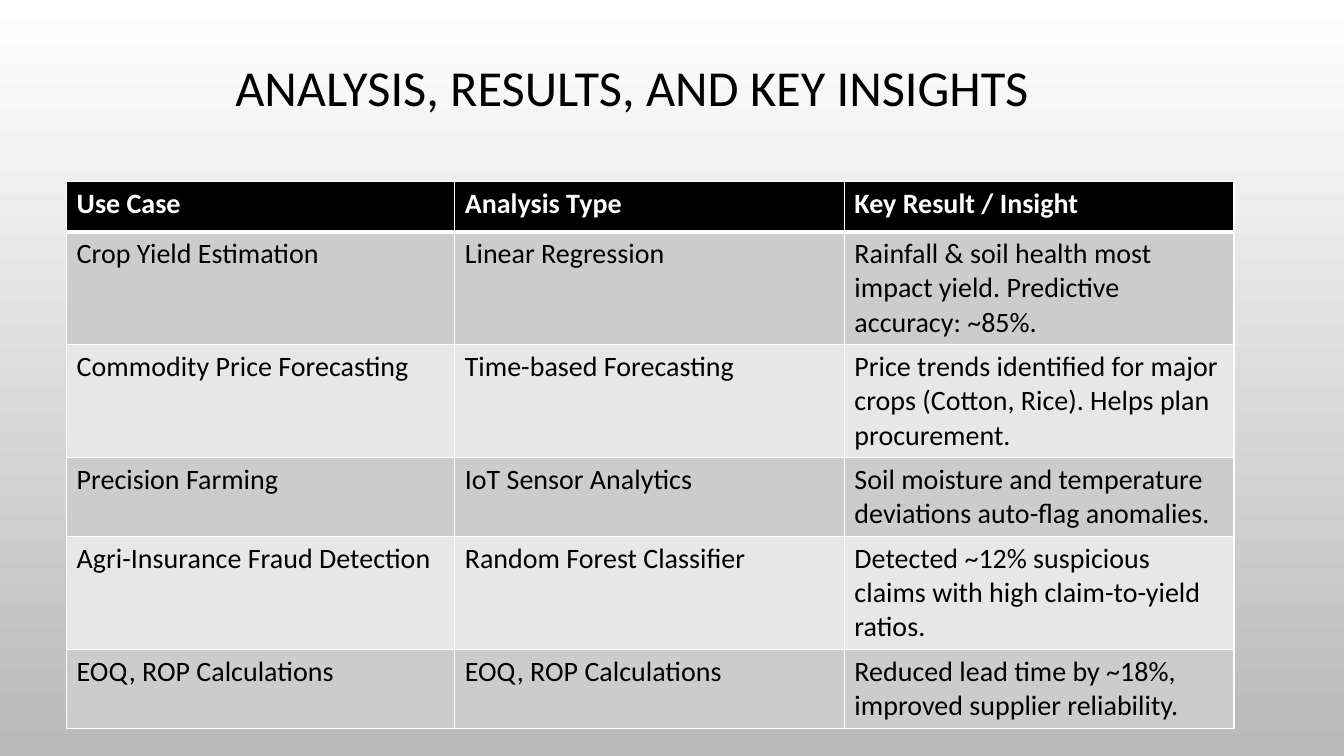
from dataclasses import dataclass

from lxml import etree
from pptx import Presentation
from pptx.dml.color import RGBColor
from pptx.enum.text import MSO_ANCHOR, PP_ALIGN
from pptx.oxml.ns import qn
from pptx.util import Cm, Pt

LEFT, CENTER = PP_ALIGN.LEFT, PP_ALIGN.CENTER
MIDDLE = MSO_ANCHOR.MIDDLE
FONT = "Calibri"
BLACK, WHITE, BACKDROP_GREY = "000000", "FFFFFF", "B9B9B9"
BANDS = ("CCCCCC", "E7E7E7")
MARGIN, TABLE_TOP = Cm(1.68), Cm(4.57)
COLUMN_WIDTHS = (9.78, 9.82, 9.82)
HEADINGS = ("Use Case", "Analysis Type", "Key Result / Insight")
HEADING_HEIGHT = 1.27


@dataclass(frozen=True)
class Finding:
    use_case: str
    analysis: str
    insight: str
    height: float = 1.88


FINDINGS = (
    Finding("Crop Yield Estimation", "Linear Regression",
            "Rainfall & soil health most impact yield. Predictive accuracy: ~85%.", 2.69),
    Finding("Commodity Price Forecasting", "Time-based Forecasting",
            "Price trends identified for major crops (Cotton, Rice). Helps plan procurement.", 2.69),
    Finding("Precision Farming", "IoT Sensor Analytics",
            "Soil moisture and temperature deviations auto-flag anomalies."),
    Finding("Agri-Insurance Fraud Detection", "Random Forest Classifier",
            "Detected ~12% suspicious claims with high claim-to-yield ratios."),
    Finding("EOQ, ROP Calculations", "EOQ, ROP Calculations",
            "Reduced lead time by ~18%, improved supplier reliability."),
)


def color(value: str) -> RGBColor:
    return RGBColor.from_string(value)


def write(frame, text: str, *, size: float = 20, ink: str = BLACK, bold: bool = False,
          align=LEFT, spacing: float = 1.0) -> None:
    paragraph = frame.paragraphs[0]
    paragraph.alignment = align
    paragraph.line_spacing = spacing
    run = paragraph.add_run()
    run.text = text
    run.font.name = FONT
    run.font.size = Pt(size)
    run.font.bold = bold
    run.font.color.rgb = color(ink)


def set_borders(cell, top: float, bottom: float) -> None:
    properties = cell._tc.get_or_add_tcPr()
    for side, width in (("lnL", 1), ("lnR", 1), ("lnT", top), ("lnB", bottom)):
        line = etree.SubElement(properties, qn(f"a:{side}"), w=str(Pt(width)))
        fill = etree.SubElement(line, qn("a:solidFill"))
        etree.SubElement(fill, qn("a:srgbClr"), val=WHITE)


def paint_background(slide) -> None:
    fill = slide.background.fill
    fill.gradient()
    fill.gradient_angle = 270
    for stop, position, shade in zip(fill.gradient_stops, (0, 1), (WHITE, BACKDROP_GREY)):
        stop.position = position
        stop.color.rgb = color(shade)


def add_title(slide) -> None:
    title = slide.shapes.title
    title.left, title.top, title.width, title.height = MARGIN, 0, Cm(28.5), TABLE_TOP
    title.text_frame.vertical_anchor = MIDDLE
    write(title.text_frame, "ANALYSIS, RESULTS, AND KEY INSIGHTS",
          size=36, align=CENTER, spacing=0.9)


def add_findings(slide) -> None:
    rows = [HEADINGS] + [(f.use_case, f.analysis, f.insight) for f in FINDINGS]
    heights = [HEADING_HEIGHT] + [f.height for f in FINDINGS]
    table = slide.shapes.add_table(len(rows), len(HEADINGS), MARGIN, TABLE_TOP,
                                   Cm(sum(COLUMN_WIDTHS)), Cm(sum(heights))).table
    for column, width in zip(table.columns, COLUMN_WIDTHS):
        column.width = Cm(width)
    for index, (texts, height) in enumerate(zip(rows, heights)):
        table.rows[index].height = Cm(height)
        heading = index == 0
        for column_index, text in enumerate(texts):
            cell = table.cell(index, column_index)
            set_borders(cell, top=3 if index == 1 else 1, bottom=3 if heading else 1)
            cell.fill.solid()
            cell.fill.fore_color.rgb = color(BLACK if heading else BANDS[(index - 1) % 2])
            write(cell.text_frame, text, ink=WHITE if heading else BLACK, bold=heading)


def main() -> None:
    """Build the slide of analysis results and save it."""
    presentation = Presentation()
    presentation.slide_width, presentation.slide_height = Cm(33.87), Cm(19.05)
    slide = presentation.slides.add_slide(presentation.slide_layouts[5])
    paint_background(slide)
    add_title(slide)
    add_findings(slide)
    presentation.save("out.pptx")


if __name__ == "__main__":
    main()
